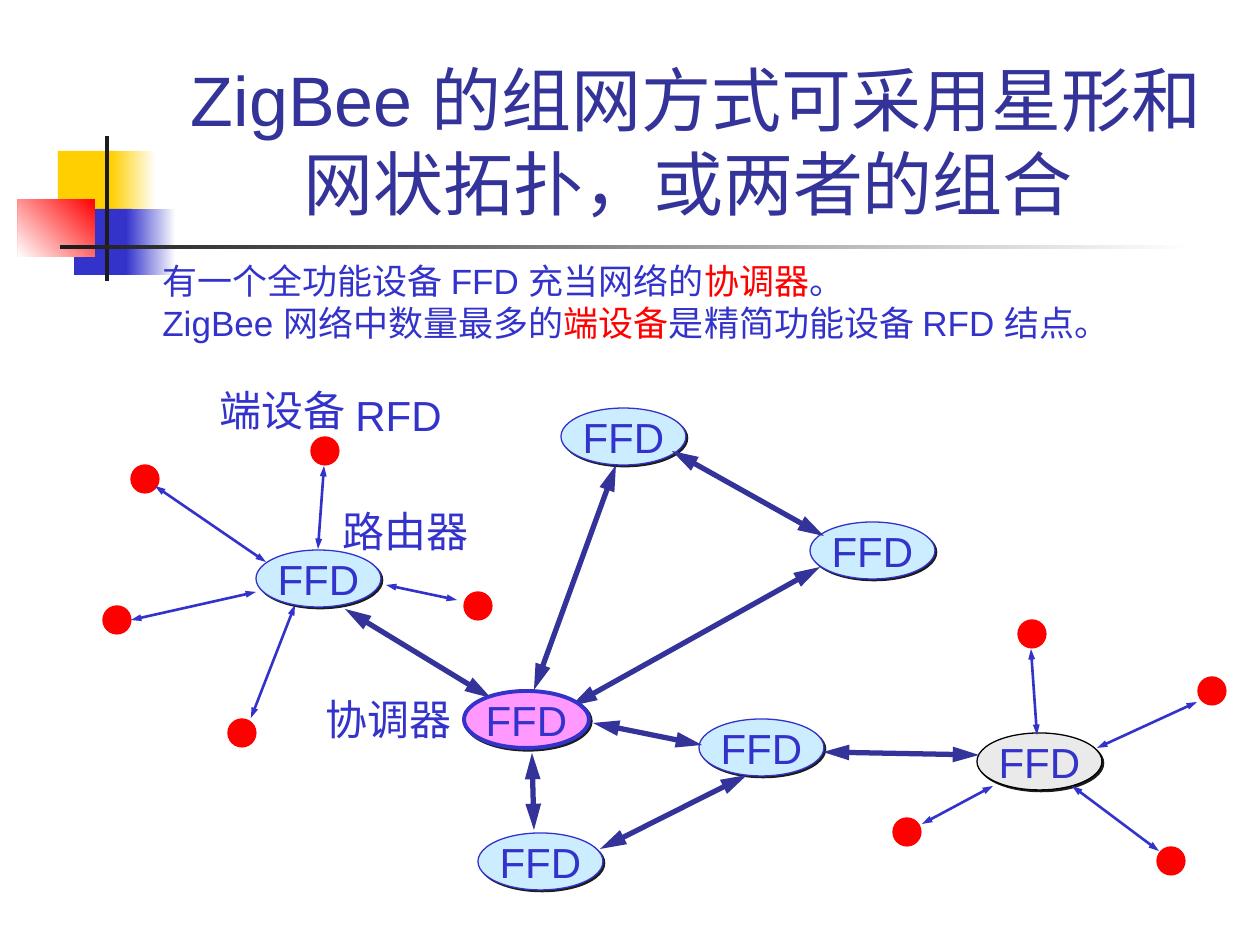
from typing import NamedTuple, Optional

from lxml import etree
from pptx import Presentation
from pptx import util as u
from pptx.dml import color
from pptx.enum import shapes, text
from pptx.oxml import ns

SCALE = 914400 / 126  # EMU per pixel
BLUE, NAVY, RED, SKY = "3333CC", "333399", "FF0000", "CCECFF"
YELLOW, BLACK, WHITE = "FFCF01", "1C1C1C", "FFFFFF"
NODE_SIZE, DOT_SIZE = (125, 57), (28, 28)


class Bar(NamedTuple):
    left: int
    top: int
    width: int
    height: int
    start: str
    end: Optional[str] = None
    angle: int = 180


class Node(NamedTuple):
    left: int
    top: int
    fill: str = SKY
    line: str = BLUE
    weight: float = 0.75


class Link(NamedTuple):
    x1: int
    y1: int
    x2: int
    y2: int


class Label(NamedTuple):
    left: int
    top: int
    width: int
    words: str


class Piece(NamedTuple):
    words: str
    hue: str = BLUE
    font: str = "Arial"


BARS = [
    Bar(58, 151, 60, 66, YELLOW),
    Bar(111, 151, 45, 66, WHITE, YELLOW),
    Bar(74, 209, 58, 66, BLUE),
    Bar(126, 209, 50, 66, WHITE, BLUE),
    Bar(18, 199, 77, 58, RED, WHITE, 225),
    Bar(105, 136, 4, 145, BLACK),
    Bar(60, 245, 1134, 4, WHITE, BLACK),
]
DOTS = [(311, 437), (1157, 847), (893, 818), (1198, 677), (1018, 620),
        (131, 465), (103, 606), (228, 719), (464, 592)]
ROUTERS = [Node(256, 550), Node(478, 833), Node(810, 522), Node(561, 408),
           Node(977, 733, "EAEAEA", "000000"), Node(699, 719)]
COORDINATOR = Node(464, 691, "FF99FF", BLUE, 2.25)
MESH_LINKS = [
    Link(616, 465, 534, 690), Link(345, 609, 491, 698),
    Link(672, 451, 824, 536), Link(820, 567, 571, 706),
    Link(532, 753, 534, 830), Link(702, 745, 593, 723),
    Link(979, 755, 823, 752), Link(747, 775, 600, 849),
]
STAR_LINKS = [
    Link(155, 486, 266, 562), Link(386, 585, 457, 600),
    Link(324, 466, 318, 549), Link(131, 620, 256, 592),
    Link(1197, 702, 1097, 748), Link(1031, 649, 1037, 735),
    Link(295, 605, 251, 718), Link(1072, 786, 1159, 851),
    Link(993, 786, 922, 824),
]
LABELS = [Label(343, 383, 120, "RFD"), Label(207, 378, 154, "端设备"),
          Label(330, 499, 154, "路由器"), Label(313, 687, 154, "协调器")]
SUMMARY = [
    [Piece("有一个全功能设备 FFD 充当"), Piece("网络的", font="Karla"),
     Piece("协调器", RED, "Karla"), Piece("。", font="Karla")],
    [Piece("ZigBee 网络中数量最多的"), Piece("端设备", RED),
     Piece("是精简功能设备 RFD 结点。")],
]


def px(*lengths: int) -> list:
    return [u.Emu(round(length * SCALE)) for length in lengths]


def rgb(value: str) -> color.RGBColor:
    return color.RGBColor.from_string(value)


def add_text(para, words: str, *, size: float, hue: str = BLUE,
             font: str = "Arial", align=text.PP_ALIGN.LEFT) -> None:
    para.alignment = align
    span = para.add_run()
    span.text = words
    span.font.size = u.Pt(size)
    span.font.name = font
    span.font.color.rgb = rgb(hue)


def add_solid(page, kind, frame, fill: str, line: Optional[str] = None,
              weight: float = 0.75):
    shape = page.shapes.add_shape(kind, *px(*frame))
    shape.shadow.inherit = False
    shape.fill.solid()
    shape.fill.fore_color.rgb = rgb(fill)
    if line:
        shape.line.color.rgb = rgb(line)
        shape.line.width = u.Pt(weight)
    else:
        shape.line.fill.background()
    return shape


def add_bar(page, bar: Bar) -> None:
    shape = add_solid(page, shapes.MSO_SHAPE.RECTANGLE, bar[:4], bar.start)
    if bar.end:
        shape.fill.gradient()
        shape.fill.gradient_angle = bar.angle
        for stop, hue, place in zip(shape.fill.gradient_stops,
                                    (bar.start, bar.end), (0, 1)):
            stop.color.rgb = rgb(hue)
            stop.position = place


def add_node(page, node: Node) -> None:
    shape = add_solid(page, shapes.MSO_SHAPE.OVAL, (node.left, node.top, *NODE_SIZE),
                      node.fill, node.line, node.weight)
    effects = shape.element.spPr.find(ns.qn("a:effectLst"))
    shadow = etree.SubElement(effects, ns.qn("a:outerShdw"), dist="17780",
                              dir="2700000", algn="ctr", rotWithShape="0")
    etree.SubElement(shadow, ns.qn("a:srgbClr"), val=BLACK)
    frame = shape.text_frame
    frame.word_wrap = False
    frame.vertical_anchor = text.MSO_ANCHOR.MIDDLE
    add_text(frame.paragraphs[0], "FFD", size=24, align=text.PP_ALIGN.CENTER)


def add_link(page, link: Link, hue: str, weight: float, *,
             head_width: str, head_length: str) -> None:
    line = page.shapes.add_connector(shapes.MSO_CONNECTOR.STRAIGHT, *px(*link))
    line.line.color.rgb = rgb(hue)
    line.line.width = u.Pt(weight)
    properties = line.element.spPr
    for end in ("a:headEnd", "a:tailEnd"):
        etree.SubElement(properties.find(ns.qn("a:ln")), ns.qn(end),
                         type="triangle", w=head_width, len=head_length)
    etree.SubElement(properties, ns.qn("a:effectLst"))


def add_box(page, frame, wrap: bool):
    box = page.shapes.add_textbox(*px(*frame))
    box.text_frame.word_wrap = wrap
    box.text_frame.auto_size = text.MSO_AUTO_SIZE.SHAPE_TO_FIT_TEXT
    return box.text_frame


deck = Presentation()
deck.slide_width, deck.slide_height = px(1260, 945)
page = deck.slides.add_slide(deck.slide_layouts[5])

# Title and its ornament
title = page.shapes.title
title.left, title.top, title.width, title.height = px(159, 29, 1074, 202)
title.text_frame.auto_size = text.MSO_AUTO_SIZE.NONE
title.text_frame.vertical_anchor = text.MSO_ANCHOR.BOTTOM
add_text(title.text_frame.paragraphs[0],
         "ZigBee 的组网方式可采用星形和网状拓扑，或两者的组合 ",
         size=40, hue=NAVY, align=text.PP_ALIGN.CENTER)
for bar in BARS:
    add_bar(page, bar)

# Summary lines
summary = add_box(page, (150, 253, 1005, 97), True)
for index, pieces in enumerate(SUMMARY):
    para = summary.add_paragraph() if index else summary.paragraphs[0]
    for piece in pieces:
        add_text(para, piece.words, size=20, hue=piece.hue, font=piece.font)

# Network: end devices, routers, links, coordinator
for dot in DOTS:
    add_solid(page, shapes.MSO_SHAPE.OVAL, (*dot, *DOT_SIZE), RED, RED)
for router in ROUTERS:
    add_node(page, router)
for link in MESH_LINKS:
    add_link(page, link, NAVY, 3, head_width="med", head_length="lg")
for link in STAR_LINKS:
    add_link(page, link, BLUE, 1.5, head_width="sm", head_length="med")
add_node(page, COORDINATOR)

# Labels
for label in LABELS:
    frame = add_box(page, (label.left, label.top, label.width, 63), False)
    add_text(frame.paragraphs[0], label.words, size=24)

deck.save("out.pptx")
